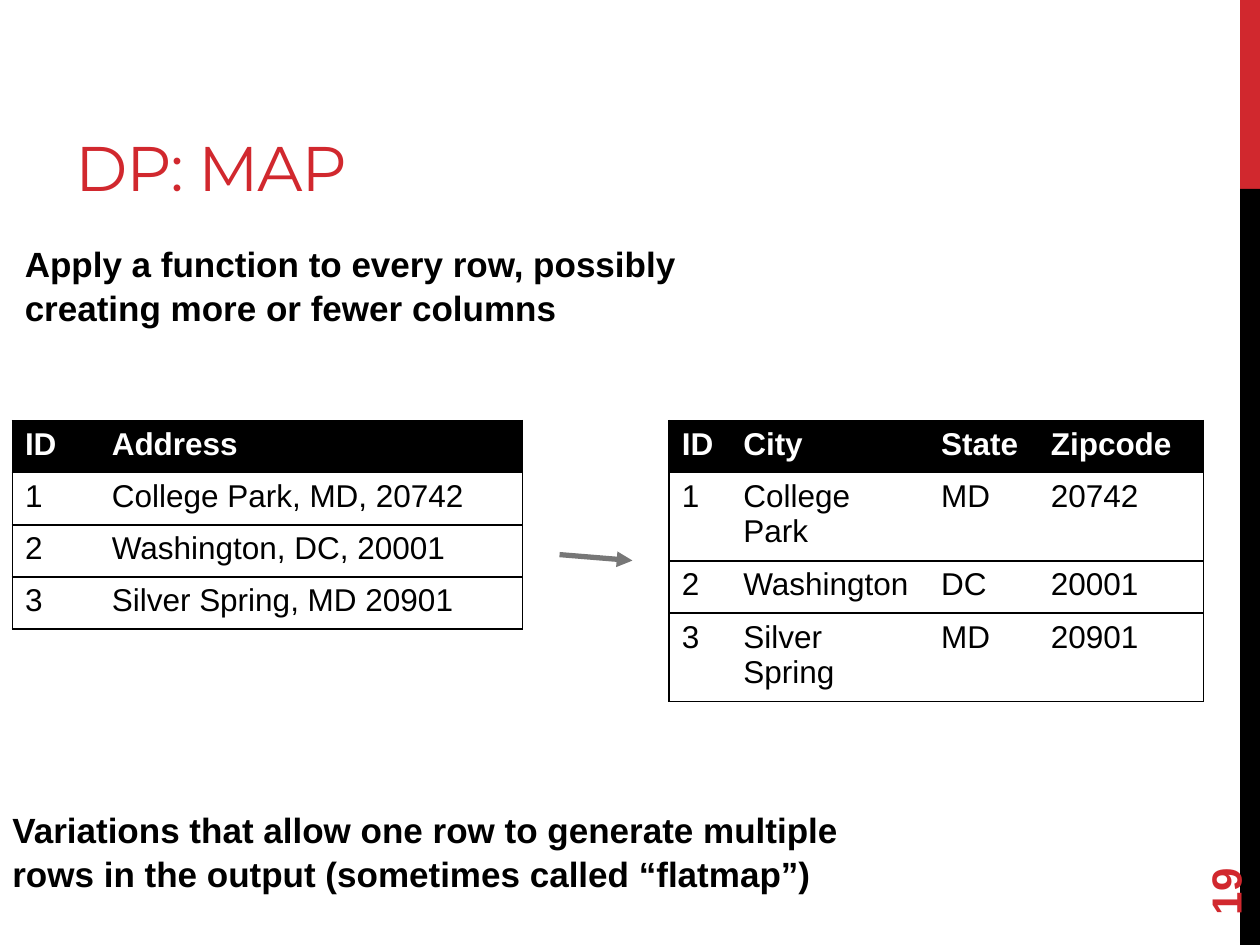
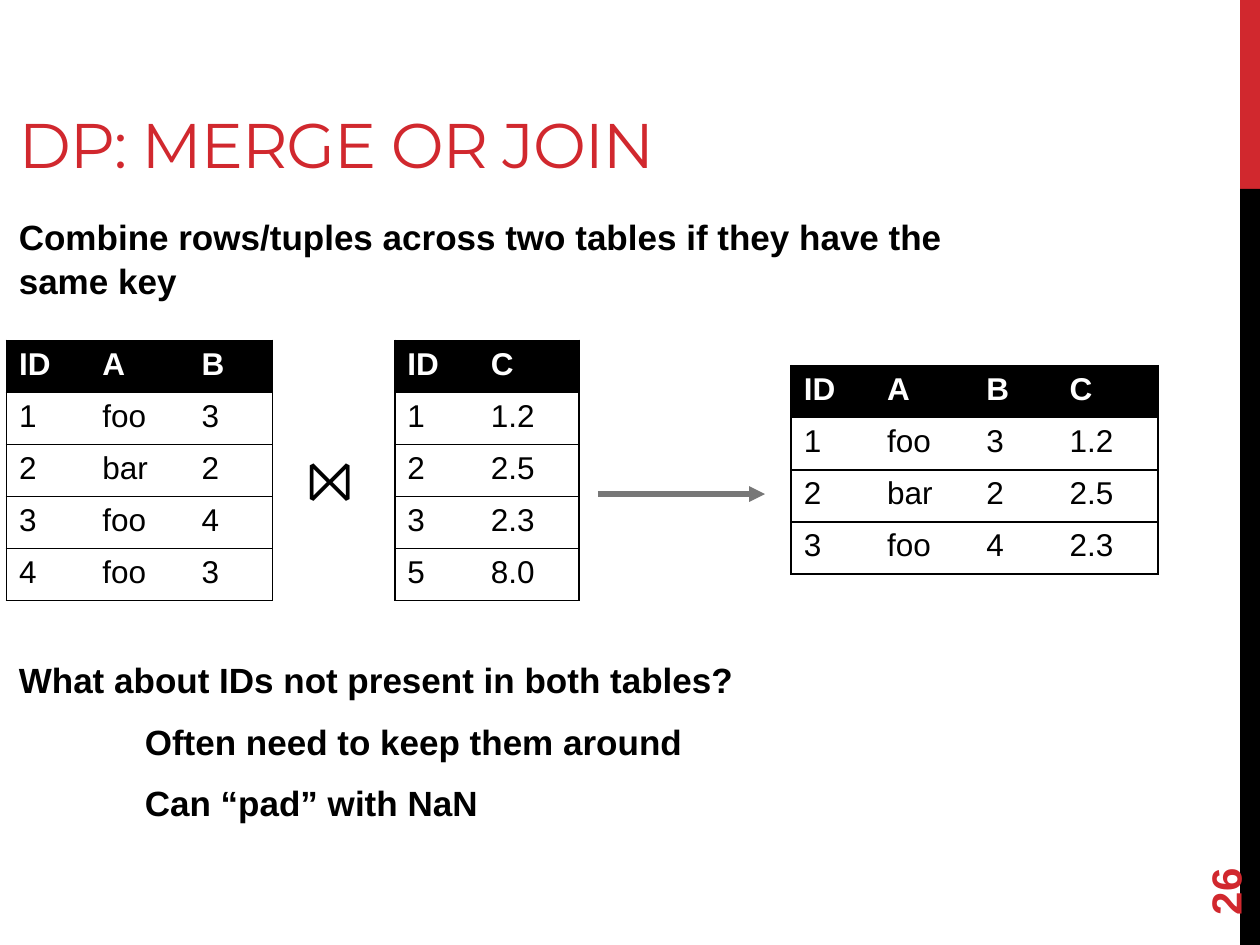
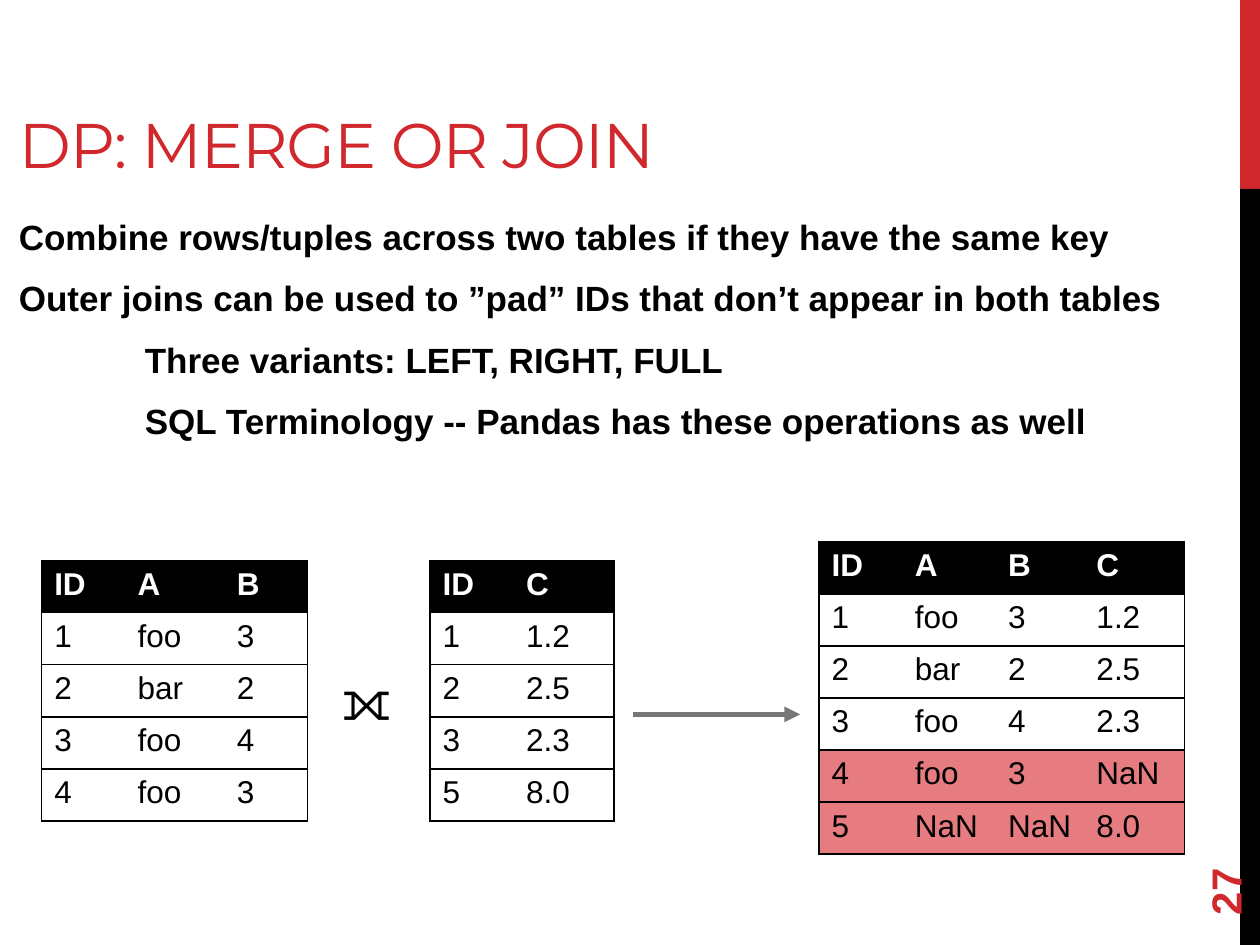
from dataclasses import dataclass

from lxml import etree
from pptx import Presentation
from pptx import util as u
from pptx.dml import color
from pptx.enum import shapes, text
from pptx.oxml import ns

RED, BLACK, WHITE, GREY, PINK = "D1282E", "000000", "FFFFFF", "777777", "E67C7F"
ROW, TALL_ROW = 1.05, 1.78
INDENT = 2.54


@dataclass(frozen=True)
class Box:
    """Left, top, width and height in centimetres."""
    x: float
    y: float
    w: float
    h: float

    def lengths(self) -> tuple:
        return tuple(u.Cm(v) for v in (self.x, self.y, self.w, self.h))


@dataclass(frozen=True)
class Style:
    size: float
    colour: str = BLACK
    bold: bool = False
    font: str = "Arial"


@dataclass(frozen=True)
class Line:
    text: str
    indented: bool = False


@dataclass(frozen=True)
class Table:
    cols: tuple
    rows: tuple
    tall: tuple = ()
    marked: tuple = ()


TITLE = Style(36, RED, font="Montserrat")
BODY = Style(20, bold=True)
NUMBER = Style(24, RED, True)
SYMBOL = Style(32)
HEADER, CELL = Style(18, WHITE, True), Style(18)

BANDS = ((Box(25, 0, 0.4, 3.81), RED), (Box(25, 3.81, 0.4, 15.24), BLACK))
NUMBER_BOX = Box(22.86, 16.36, 3.66, 1.02)
JOIN_TITLE_BOX = Box(0.13, -0.03, 24.49, 3.81)

ADDRESSES = Table((1.75, 8.53), (
    ("ID", "Address"),
    ("1", "College Park, MD, 20742"),
    ("2", "Washington, DC, 20001"),
    ("3", "Silver Spring, MD 20901")))
CITIES = Table((1.24, 3.99, 2.21, 3.33), (
    ("ID", "City", "State", "Zipcode"),
    ("1", "College Park", "MD", "20742"),
    ("2", "Washington", "DC", "20001"),
    ("3", "Silver Spring", "MD", "20901")), tall=(1, 3))
LEFT = Table((1.68, 2, 1.68), (
    ("ID", "A", "B"), ("1", "foo", "3"), ("2", "bar", "2"),
    ("3", "foo", "4"), ("4", "foo", "3")))
RIGHT = Table((1.68, 2.03), (
    ("ID", "C"), ("1", "1.2"), ("2", "2.5"), ("3", "2.3"), ("5", "8.0")))
INNER_ROWS = (
    ("ID", "A", "B", "C"), ("1", "foo", "3", "1.2"),
    ("2", "bar", "2", "2.5"), ("3", "foo", "4", "2.3"))
INNER = Table((1.68, 2, 1.68, 2.03), INNER_ROWS)
OUTER = Table((1.68, 1.88, 1.78, 2.03), INNER_ROWS + (
    ("4", "foo", "3", "NaN"), ("5", "NaN", "NaN", "8.0")), marked=(4, 5))


def rgb(value: str) -> color.RGBColor:
    return color.RGBColor.from_string(value)


def format_runs(p, style: Style) -> None:
    for r in p.runs:
        r.font.name, r.font.size = style.font, u.Pt(style.size)
        r.font.bold, r.font.color.rgb = style.bold, rgb(style.colour)


def add_text(s, box: Box, content: str, style: Style,
             anchor=text.MSO_ANCHOR.TOP):
    sp = s.shapes.add_textbox(*box.lengths())
    tf = sp.text_frame
    tf.word_wrap, tf.vertical_anchor = True, anchor
    tf.text = content
    for p in tf.paragraphs:
        format_runs(p, style)
    return sp


def add_body(s, box: Box, *lines: Line) -> None:
    sp = add_text(s, box, "\n".join(line.text for line in lines), BODY)
    for i, (p, line) in enumerate(zip(sp.text_frame.paragraphs, lines)):
        p.line_spacing, p.space_after = 1.05, u.Pt(6)
        if i:
            p.space_before = u.Pt(4)
        if line.indented:
            p._p.get_or_add_pPr().set("marL", str(u.Cm(INDENT)))


def add_borders(cell, first: bool, last: bool) -> None:
    """Rule the top and bottom, and the sides only at the table's edges."""
    tc_pr = cell._tc.get_or_add_tcPr()
    for side, shown in (("L", first), ("R", last), ("T", True), ("B", True)):
        ln = etree.SubElement(tc_pr, ns.qn(f"a:ln{side}"), w=str(u.Pt(1)))
        if shown:
            fill = etree.SubElement(ln, ns.qn("a:solidFill"))
            etree.SubElement(fill, ns.qn("a:srgbClr"), val=BLACK)
        else:
            etree.SubElement(ln, ns.qn("a:noFill"))


def add_table(s, x: float, y: float, data: Table) -> None:
    heights = [TALL_ROW if i in data.tall else ROW
               for i in range(len(data.rows))]
    box = Box(x, y, sum(data.cols), sum(heights))
    tbl = s.shapes.add_table(
        len(data.rows), len(data.cols), *box.lengths()).table
    tbl.horz_banding = False
    for col, width in zip(tbl.columns, data.cols):
        col.width = u.Cm(width)
    for i, values in enumerate(data.rows):
        tbl.rows[i].height = u.Cm(heights[i])
        for j, value in enumerate(values):
            cell = tbl.cell(i, j)
            cell.text_frame.text = value
            format_runs(cell.text_frame.paragraphs[0], CELL if i else HEADER)
            add_borders(cell, j == 0, j == len(values) - 1)
            if i == 0 or i in data.marked:
                cell.fill.solid()
                cell.fill.fore_color.rgb = rgb(PINK if i else BLACK)
            else:
                cell.fill.background()


def add_arrow(s, x1: float, y1: float, x2: float, y2: float) -> None:
    c = s.shapes.add_connector(
        shapes.MSO_CONNECTOR.STRAIGHT, *(u.Cm(v) for v in (x1, y1, x2, y2)))
    c.line.color.rgb, c.line.width = rgb(GREY), u.Pt(3)
    etree.SubElement(c.line._get_or_add_ln(), ns.qn("a:tailEnd"),
                     type="triangle")
    etree.SubElement(c._element.spPr, ns.qn("a:effectLst"))


def add_slide(prs, title: str, title_box: Box, number: int):
    s = prs.slides.add_slide(prs.slide_layouts[6])
    for box, colour in BANDS:
        sp = s.shapes.add_shape(shapes.MSO_SHAPE.RECTANGLE, *box.lengths())
        sp.shadow.inherit = False
        sp.fill.solid()
        sp.fill.fore_color.rgb = rgb(colour)
        sp.line.fill.background()
    sp = add_text(s, title_box, title, TITLE, text.MSO_ANCHOR.BOTTOM)
    sp.text_frame.paragraphs[0].runs[0].font._element.set("spc", "-60")
    sp = add_text(s, NUMBER_BOX, str(number), NUMBER, text.MSO_ANCHOR.MIDDLE)
    sp.rotation = 270
    return s


def add_join(s, x: float, y: float, symbol: str) -> None:
    """Draw both input tables, the join symbol and the arrow to the result."""
    add_table(s, x, y, LEFT)
    add_text(s, Box(x + 5.81, y + 1.98, 1.85, 1.63), symbol, SYMBOL)
    add_table(s, x + 7.83, y, RIGHT)
    add_arrow(s, x + 11.92, y + 3.1, x + 15.29, y + 3.1)


def map_slide(prs) -> None:
    s = add_slide(prs, "DP: MAP", Box(1.27, 0.43, 18.08, 3.81), 19)
    add_body(s, Box(0.25, 4.72, 14.38, 2.08), Line(
        "Apply a function to every row, possibly creating more or fewer "
        "columns"))
    add_table(s, 0.25, 8.48, ADDRESSES)
    add_arrow(s, 11.28, 11.18, 12.75, 11.3)
    add_table(s, 13.49, 8.48, CITIES)
    add_body(s, Box(0, 16.13, 17.78, 1.96), Line(
        "Variations that allow one row to generate multiple rows in the "
        "output (sometimes called “flatmap”)"))


def inner_join_slide(prs) -> None:
    s = add_slide(prs, "DP: MERGE OR JOIN", JOIN_TITLE_BOX, 26)
    add_body(s, Box(0.13, 4.17, 20.24, 2.08), Line(
        "Combine rows/tuples across two tables if they have the same key"))
    add_join(s, 0.13, 6.86, "⨝")
    add_table(s, 15.95, 7.37, INNER)
    add_body(s, Box(0.13, 13.11, 20.24, 4.93),
             Line("What about IDs not present in both tables?"),
             Line("Often need to keep them around", True),
             Line("Can “pad” with NaN", True))


def outer_join_slide(prs) -> None:
    s = add_slide(prs, "DP: MERGE OR JOIN", JOIN_TITLE_BOX, 27)
    add_body(
        s, Box(0.13, 4.17, 24.49, 5.28),
        Line("Combine rows/tuples across two tables if they have the same key"),
        Line("Outer joins can be used to ”pad” IDs that don’t appear in both "
             "tables"),
        Line("Three variants: LEFT, RIGHT, FULL", True),
        Line("SQL Terminology -- Pandas has these operations as well", True))
    add_join(s, 0.84, 11.3, "⟗")
    add_table(s, 16.51, 10.92, OUTER)


def main() -> None:
    prs = Presentation()
    prs.slide_width, prs.slide_height = u.Cm(25.4), u.Cm(19.05)
    map_slide(prs)
    inner_join_slide(prs)
    outer_join_slide(prs)
    prs.save("out.pptx")


if __name__ == "__main__":
    main()
